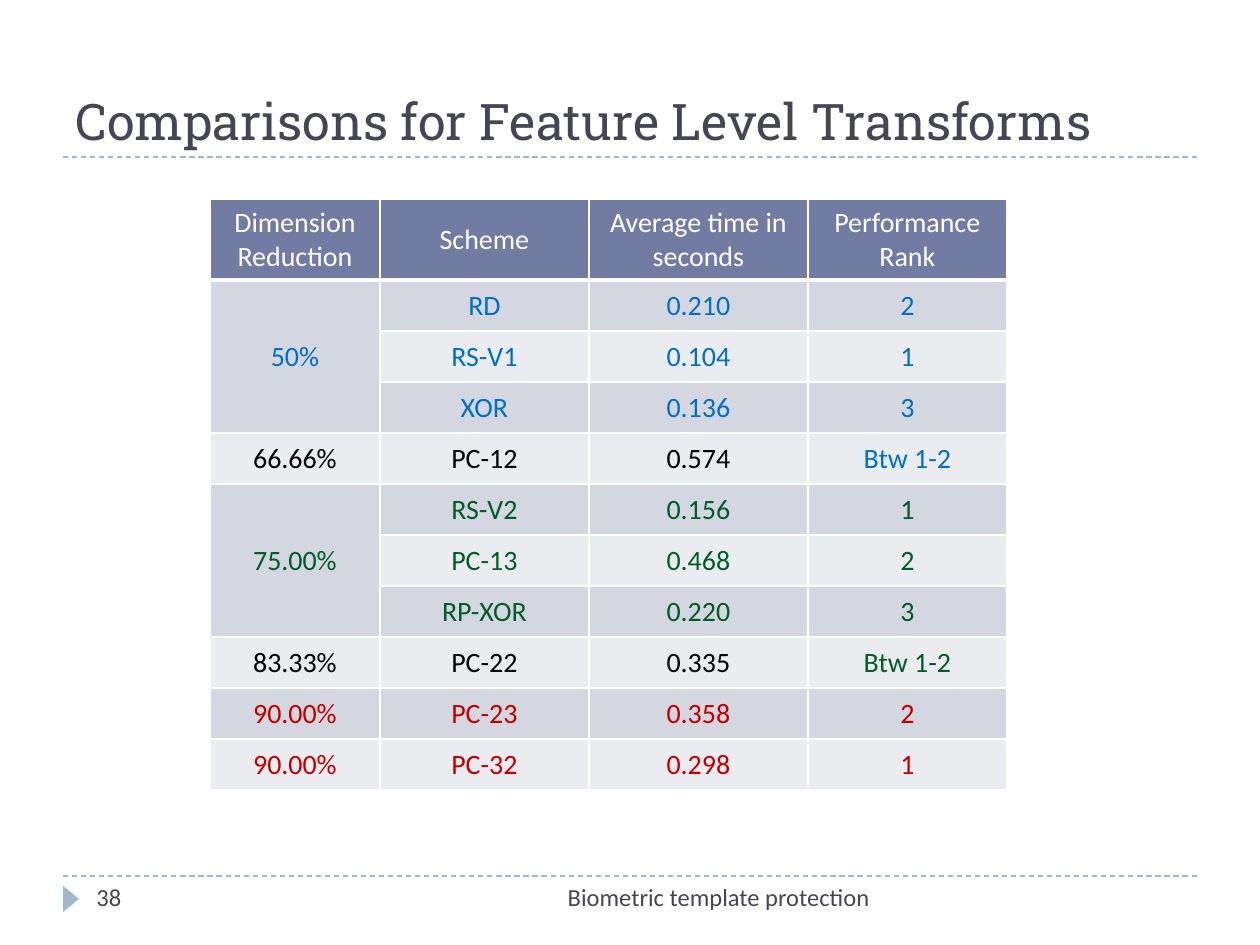
from lxml import etree
from pptx import Presentation, util as u
from pptx.dml.color import RGBColor
from pptx.enum import dml, shapes, text
from pptx.oxml.ns import qn

PX = 914400 / 126  # EMU in one px
INK, PALE, WHITE = "464653", "9FB8CD", "FFFFFF"
BLUE, BLACK, GREEN, RED = "0070C0", "000000", "005C2A", "C00000"


def px(*nums):
    return [u.Emu(round(n * PX)) for n in nums]


def write(frame, words, size, face, color, align, anchor):
    frame.word_wrap = True
    frame.vertical_anchor = anchor
    para = frame.paragraphs[0]
    para.alignment = align
    run = para.add_run()
    run.text = words
    run.font.size = u.Pt(size)
    run.font.name = face
    run.font.bold = False
    run.font.color.rgb = RGBColor.from_string(color)


left, mid, right = text.PP_ALIGN.LEFT, text.PP_ALIGN.CENTER, text.PP_ALIGN.RIGHT
top, center, base = text.MSO_ANCHOR.TOP, text.MSO_ANCHOR.MIDDLE, text.MSO_ANCHOR.BOTTOM

deck = Presentation()
deck.slide_width, deck.slide_height = px(1260, 945)
slide = deck.slides.add_slide(deck.slide_layouts[5])

# Dashed rules under the title and above the footer
for y in (876, 157):
    rule = slide.shapes.add_connector(shapes.MSO_CONNECTOR.STRAIGHT, *px(63, y, 1197, y))
    rule.line.color.rgb = RGBColor.from_string(PALE)
    rule.line.width = u.Pt(0.75)
    rule.line.dash_style = dml.MSO_LINE.DASH
    etree.SubElement(rule._element.spPr, qn("a:effectLst"))

# Footer marker
mark = slide.shapes.add_shape(shapes.MSO_SHAPE.ISOSCELES_TRIANGLE, *px(58, 891, 26, 16))
mark.rotation = 90
mark.shadow.inherit = False
mark.fill.solid()
mark.fill.fore_color.rgb = RGBColor.from_string(PALE)
mark.line.fill.background()

# Title
title = slide.shapes.title
title.left, title.top, title.width, title.height = px(63, 21, 1134, 136)
write(title.text_frame, "Comparisons for Feature Level Transforms",
      28.8, "Roboto Slab", INK, left, base)

# Footer text and page number
for words, x, wide, align in (("Biometric template protection", 399, 483, right),
                              ("38", 84, 273, left)):
    box = slide.shapes.add_textbox(*px(x, 876, wide, 50))
    write(box.text_frame, words, 14, "Calibri", INK, align, top)

# Table: text colour of the row, its cells, then the colour of the rank
rows = [
    (WHITE, ["Dimension Reduction", "Scheme", "Average time in seconds", "Performance Rank"], WHITE),
    (BLUE, ["50%", "RD", "0.210", "2"], BLUE),
    (BLUE, ["", "RS-V1", "0.104", "1"], BLUE),
    (BLUE, ["", "XOR", "0.136", "3"], BLUE),
    (BLACK, ["66.66%", "PC-12", "0.574", "Btw 1-2"], BLUE),
    (GREEN, ["75.00%", "RS-V2", "0.156", "1"], GREEN),
    (GREEN, ["", "PC-13", "0.468", "2"], GREEN),
    (GREEN, ["", "RP-XOR", "0.220", "3"], GREEN),
    (BLACK, ["83.33%", "PC-22", "0.335", "Btw 1-2"], GREEN),
    (RED, ["90.00%", "PC-23", "0.358", "2"], RED),
    (RED, ["90.00%", "PC-32", "0.298", "1"], RED),
]
wides = px(170, 209, 219, 199)
table = slide.shapes.add_table(len(rows), 4, *px(210, 199, 797, 591)).table
for col, wide in zip(table.columns, wides):
    col.width = wide
for start in (1, 5):
    table.cell(start, 0).merge(table.cell(start + 2, 0))

for r, (color, words, rank) in enumerate(rows):
    table.rows[r].height = px(51 if r else 81)[0]
    band = ("D5D7E0" if r % 2 else "EBECF0") if r else "727CA3"
    for c, word in enumerate(words):
        cell = table.cell(r, c)
        cell.vertical_anchor = center
        cell.fill.solid()
        cell.fill.fore_color.rgb = RGBColor.from_string(band)
        if word:
            write(cell.text_frame, word, 16, "Calibri", rank if c == 3 else color, mid, center)
        # White borders, heavier below the header
        props = cell._tc.get_or_add_tcPr()
        for i, side in enumerate("LRTB"):
            points = 3 if r == 0 and side == "B" else 1
            edge = etree.Element(qn("a:ln" + side), w=str(u.Pt(points)))
            fill = etree.SubElement(edge, qn("a:solidFill"))
            etree.SubElement(fill, qn("a:srgbClr"), val=WHITE)
            props.insert(i, edge)

deck.save("out.pptx")
